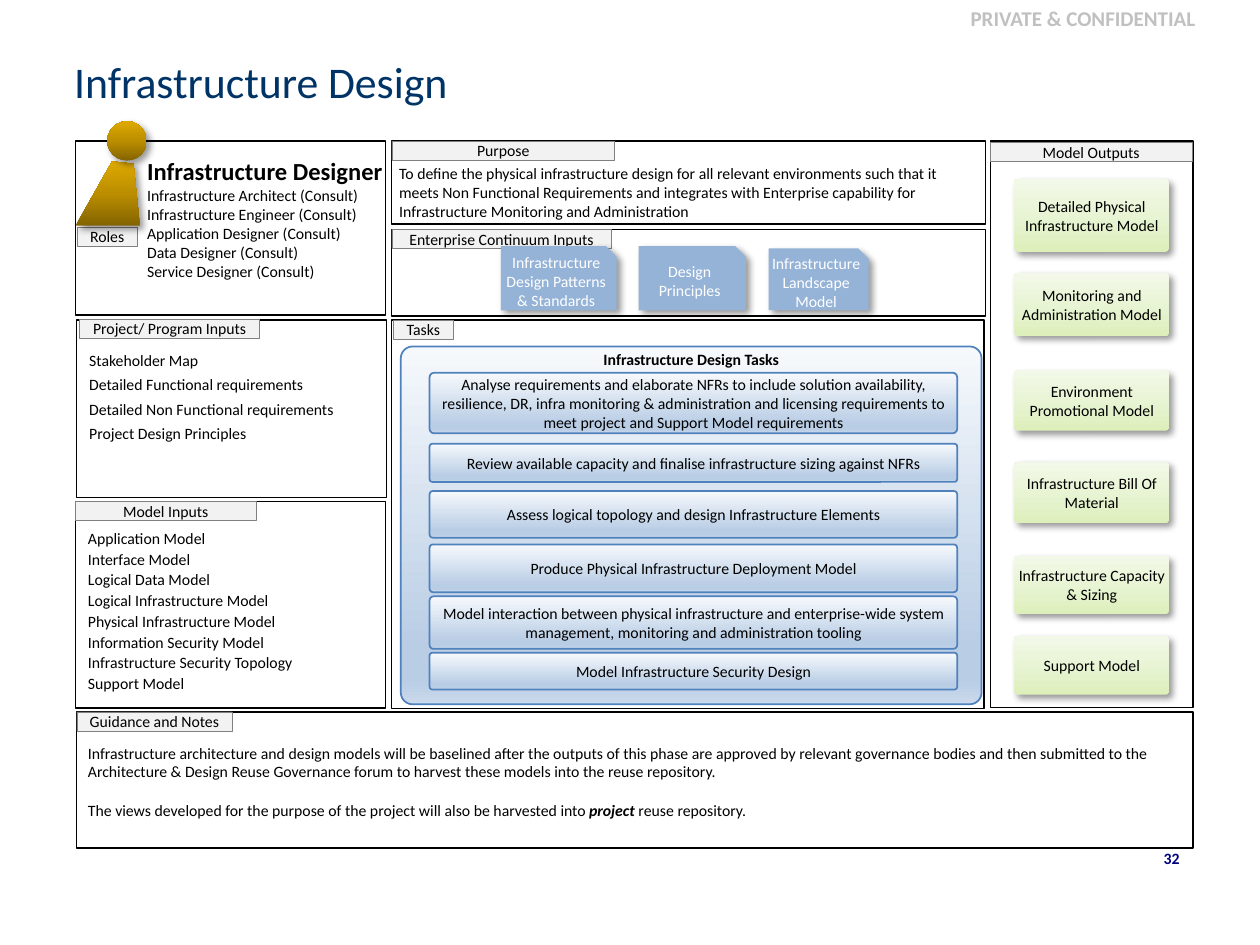
import pptx
import pptx.dml.color
import pptx.enum.shapes
import pptx.enum.text
import pptx.oxml
import pptx.oxml.ns
import pptx.util
from lxml import etree

Pt = pptx.util.Pt
qn = pptx.oxml.ns.qn
SHAPE = pptx.enum.shapes.MSO_SHAPE
ALIGN = pptx.enum.text.PP_ALIGN
ANCHOR = pptx.enum.text.MSO_ANCHOR

COLORS = {
    "black": "000000", "white": "FFFFFF", "title": "003366", "number": "000080",
    "grey": "C0C0C0", "tab": "F2F2F2", "tab_line": "808080",
    "task_line": "4F81BD", "snip": "95B3D7",
}
# Gradient stops and clockwise angle
BLUE = ([(0, "F6F9FC"), (85, "B9CDE5"), (93, "B9CDE5"), (100, "CAD9EB")], 90)
GREEN = ([(0, "DDEFBB"), (50, "E8F4D4"), (100, "F3F9E9")], 270)
GOLD = ([(0, "846400"), (50, "BB8E00"), (100, "DEA900")], 270)

# Panel box, tab label, tab box (left, top, width, height)
PANELS = [
    ((43.2, 80.6, 177.1, 99.4), "Roles", (43.9, 129.6, 34.6, 10.9)),
    ((43.9, 182.9, 177.1, 101.5), "Project/ Program Inputs", (45.4, 182.2, 103, 10.9)),
    ((43.2, 286.6, 177.1, 118.1), "Model Inputs", (43.2, 286.6, 103, 10.9)),
    ((223.9, 80.6, 339.1, 47.5), "Purpose", (223.9, 80.6, 127.4, 10.9)),
    ((223.9, 131, 339.1, 49.7), "Enterprise Continuum Inputs", (223.9, 131, 125.3, 10.9)),
    ((223.9, 182.9, 338.4, 221.8), "Tasks", (224.6, 182.9, 34.6, 10.9)),
    ((565.9, 80.6, 115.9, 323.9), "Model Outputs", (565.9, 81.4, 115.2, 10.9)),
    ((43.9, 406.8, 637.9, 77.8), "Guidance and Notes", (43.9, 406.8, 88.6, 10.9)),
]
ROLES = ["Infrastructure Architect (Consult)", "Infrastructure Engineer (Consult)",
         "Application Designer (Consult)", "Data Designer (Consult)",
         "Service Designer (Consult)"]
PROJECT_INPUTS = ["Stakeholder Map", "Detailed Functional requirements",
                  "Detailed Non Functional requirements", "Project Design Principles"]
MODEL_INPUTS = ["Application Model", "Interface Model", "Logical Data Model",
                "Logical Infrastructure Model", "Physical Infrastructure Model",
                "Information Security Model", "Infrastructure Security Topology",
                "Support Model"]
PURPOSE = ("To define the physical infrastructure design for all relevant environments "
           "such that it meets Non Functional Requirements and integrates with Enterprise "
           "capability for Infrastructure Monitoring and Administration")
GUIDANCE = ("Infrastructure architecture and design models will be baselined after the "
            "outputs of this phase are approved by relevant governance bodies and then "
            "submitted to the Architecture & Design Reuse Governance forum to harvest "
            "these models into the reuse repository.")
HARVEST = [("The views developed for the purpose of the project will also be harvested into ", {}),
           ("project", {"bold": True, "italic": True}), (" reuse repository.", {})]
# Text, top, height
TASKS = [
    ("Analyse requirements and elaborate NFRs to include solution availability, resilience, "
     "DR, infra monitoring & administration and licensing requirements to meet project and "
     "Support Model requirements", 213, 34.6),
    ("Review available capacity and finalise infrastructure sizing against NFRs", 253.6, 21.8),
    ("Assess logical topology and design Infrastructure Elements", 280.6, 26.7),
    ("Produce Physical Infrastructure Deployment Model", 311.1, 27.3),
    ("Model interaction between physical infrastructure and enterprise-wide system "
     "management, monitoring and administration tooling", 340.8, 30),
    ("Model Infrastructure Security Design", 373, 21),
]
OUTPUTS = [
    ("Detailed Physical Infrastructure Model", 102.2, 41.8),
    ("Monitoring and Administration Model", 156.2, 36),
    ("Environment Promotional Model", 211.7, 34.4),
    ("Infrastructure Bill Of Material", 264.2, 34.8),
    ("Infrastructure Capacity & Sizing", 317.5, 33.4),
    ("Support Model", 363.6, 33.4),
]
ENTERPRISE_INPUTS = [
    ("Infrastructure Design Patterns & Standards", (286.2, 140.6, 66.2, 36.7)),
    ("Design Principles", (365, 140.6, 61.2, 36.7)),
    ("Infrastructure Landscape Model", (439.2, 142, 57.2, 35.3)),
]

prs = pptx.Presentation()
prs.slide_width, prs.slide_height = Pt(720), Pt(540)
slide = prs.slides.add_slide(prs.slide_layouts[6])


def rgb(name):
    return pptx.dml.color.RGBColor.from_string(COLORS.get(name, name))


def add_text(s, text, size=9, color="black", bold=False, align=ALIGN.LEFT,
             anchor=ANCHOR.TOP, insets=(7.2, 3.6, 7.2, 3.6), after=0, before=0,
             wrap=True, more=False):
    """Write a string, or a list of (text, format) runs, as one paragraph."""
    tf = s.text_frame
    if more:
        p = tf.add_paragraph()
    else:
        p = tf.paragraphs[0]
        tf.word_wrap, tf.vertical_anchor = wrap, anchor
        tf.margin_left, tf.margin_top, tf.margin_right, tf.margin_bottom = map(Pt, insets)
    p.alignment, p.space_after, p.space_before = align, Pt(after), Pt(before)
    for part, style in [(text, {})] if isinstance(text, str) else text:
        r = p.add_run()
        r.text = part
        r.font.name, r.font.size = "Calibri", Pt(size)
        r.font.color.rgb = rgb(color)
        r.font.bold = style.get("bold", bold)
        r.font.italic = style.get("italic", False)


def add_lines(s, lines, **kw):
    for i, line in enumerate(lines):
        add_text(s, line, more=i > 0, **kw)


def add_box(box, text, **kw):
    s = slide.shapes.add_textbox(*map(Pt, box))
    add_text(s, text, **kw)
    return s


def paint(s, fill, line=None, width=0.75, shadow=False):
    """Fill with a colour name or a (stops, angle) gradient, then outline and shadow."""
    if isinstance(fill, str):
        s.fill.solid()
        s.fill.fore_color.rgb = rgb(fill)
    else:
        stops, angle = fill
        s.fill.gradient()
        s.fill.gradient_angle = 360 - angle
        gs_list = s._element.spPr.find(qn("a:gradFill")).find(qn("a:gsLst"))
        for old in list(gs_list):
            gs_list.remove(old)
        for pos, color in stops:
            gs = etree.SubElement(gs_list, qn("a:gs"), pos=str(pos * 1000))
            etree.SubElement(gs, qn("a:srgbClr"), val=color)
    if line:
        s.line.color.rgb, s.line.width = rgb(line), Pt(width)
    else:
        s.line.fill.background()
    s.shadow.inherit = False
    if shadow:
        effects = s._element.spPr.find(qn("a:effectLst"))
        outer = etree.SubElement(effects, qn("a:outerShdw"), blurRad=str(Pt(4)),
                                 dist=str(Pt(3)), dir="2700000", rotWithShape="0")
        clr = etree.SubElement(outer, qn("a:srgbClr"), val=COLORS["black"])
        etree.SubElement(clr, qn("a:alpha"), val="40000")
    return s


def add_shape(kind, box, fill, adj=None, **kw):
    s = slide.shapes.add_shape(kind, *map(Pt, box))
    if adj is not None:
        s.adjustments[0] = adj
    return paint(s, fill, **kw)


CENTRED = dict(align=ALIGN.CENTER, anchor=ANCHOR.MIDDLE, insets=(0, 0, 0, 0))

add_box((444.2, 0, 245.5, 20.9), "PRIVATE & CONFIDENTIAL", size=12, color="grey",
        bold=True, align=ALIGN.RIGHT, insets=(6.5, 2.9, 6.5, 2.9))
add_box((35.3, 20.2, 641.5, 52.6), "Infrastructure Design", size=25, color="title",
        anchor=ANCHOR.MIDDLE)
add_box((652.3, 481.7, 28.8, 21.6), "32", color="number", bold=True, align=ALIGN.RIGHT)

panels = {}
for box, label, tab_box in PANELS:
    panels[label] = add_shape(SHAPE.RECTANGLE, box, "white", line="black")
    tab = add_shape(SHAPE.RECTANGLE, tab_box, "tab", line="tab_line", width=0.25)
    add_text(tab, label, align=ALIGN.CENTER, insets=(0, 0, 0, 0))

add_lines(panels["Project/ Program Inputs"], PROJECT_INPUTS, after=3, wrap=False,
          insets=(7.2, 17.6, 7.2, 3.6))
add_lines(panels["Model Inputs"], MODEL_INPUTS, after=1, wrap=False,
          insets=(7.2, 15.6, 7.2, 3.6))

# Role figure
builder = slide.shapes.build_freeform(Pt(43.2), Pt(128.9))
builder.add_line_segments([(Pt(x), Pt(y)) for x, y in
                           [(64.1, 92.2), (76.3, 93.6), (79.9, 128.9)]], close=True)
paint(builder.convert_to_shape(), GOLD, shadow=True)
add_shape(SHAPE.OVAL, (61.3, 69.3, 22.5, 22.5), GOLD, shadow=True)

s = add_box((77, 85.7, 149, 78.5), "Infrastructure Designer", size=14, bold=True)
for role in ROLES:
    add_text(s, role, more=True)

add_box((221, 90, 339.8, 40.3), PURPOSE)
s = add_box((43.2, 421.2, 637.9, 61.9), GUIDANCE)
add_text(s, HARVEST, before=11, more=True)

for text, box in ENTERPRISE_INPUTS:
    s = add_shape(SHAPE.SNIP_1_RECTANGLE, box, "snip", shadow=True)
    add_text(s, text, color="white", **CENTRED)

s = add_shape(SHAPE.ROUNDED_RECTANGLE, (229, 198, 331.9, 204.5), BLUE, adj=0.033,
              line="task_line", width=1)
add_text(s, "Infrastructure Design Tasks", bold=True, align=ALIGN.CENTER,
         insets=(7.2, 0, 7.2, 7.2))
for text, top, height in TASKS:
    s = add_shape(SHAPE.ROUNDED_RECTANGLE, (245.5, top, 301.5, height), BLUE, adj=0.073,
                  line="task_line", width=1)
    add_text(s, text, **CENTRED)

for text, top, height in OUTPUTS:
    s = add_shape(SHAPE.ROUNDED_RECTANGLE, (579.6, top, 88.6, height), GREEN, adj=0.062,
                  shadow=True)
    add_text(s, text, **CENTRED)

prs.save("out.pptx")
